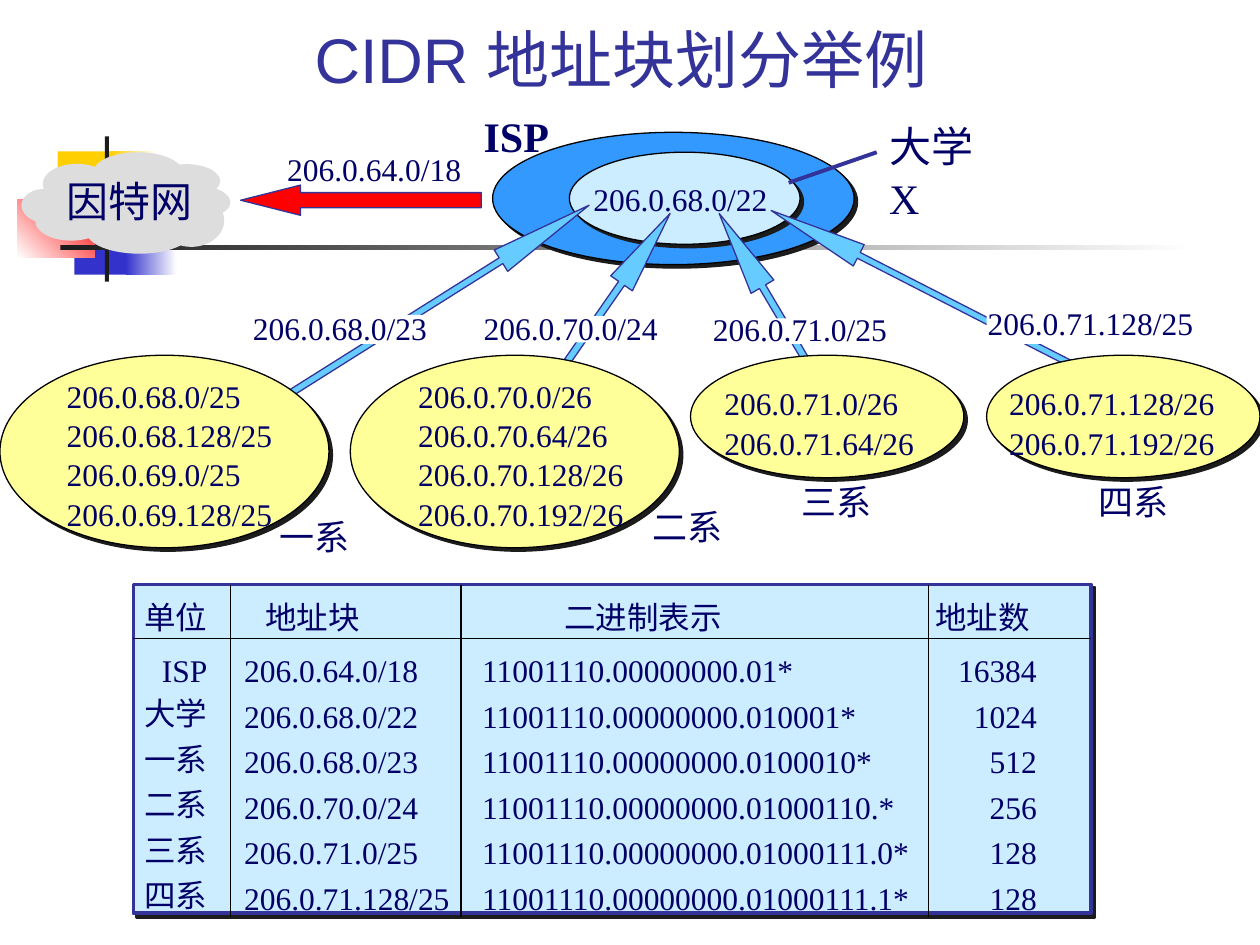
from dataclasses import dataclass

import lxml.etree
import pptx
import pptx.dml.color
import pptx.enum.shapes
import pptx.enum.text
import pptx.oxml
import pptx.oxml.ns
import pptx.util

Pt = pptx.util.Pt
Kind = pptx.enum.shapes.MSO_SHAPE
Align = pptx.enum.text.PP_ALIGN
Anchor = pptx.enum.text.MSO_ANCHOR
qn = pptx.oxml.ns.qn

NAVY, BLUE, BLACK, WHITE = "000066", "333399", "000000", "FFFFFF"
PALE, CREAM, SKY, GREY, DARK = "CCECFF", "FFFF99", "66CCFF", "DDDDDD", "1C1C1C"
SERIF = "Times New Roman"
NO_STYLE = "{2D5ABB26-0587-4C30-8999-92F81FD0307C}"


@dataclass
class Box:
    x: float
    y: float
    w: float
    h: float

    def span(self) -> list:
        return [Pt(v) for v in (self.x, self.y, self.w, self.h)]


@dataclass
class Look:
    fill: str
    fade: str = ""
    angle: float = 0
    line: str = ""
    width: float = 0.75
    shadow: bool = False


@dataclass
class Label:
    text: str
    box: Box
    size: float = 18
    bold: bool = False
    wrap: bool = False


@dataclass
class Arrow:
    box: Box
    turn: float
    neck: float
    head: float
    fill: str = SKY


@dataclass
class Column:
    width: float
    align: Align
    left: float
    right: float
    indent: float
    cells: list


def tint(code: str) -> pptx.dml.color.RGBColor:
    return pptx.dml.color.RGBColor.from_string(code)


def style(font, size: float, code: str = NAVY, name: str = SERIF, bold: bool = False) -> None:
    font.size, font.name, font.bold = Pt(size), name, bold
    font.color.rgb = tint(code)


def draw(shapes, kind: Kind, box: Box, look: Look):
    shape = shapes.add_shape(kind, *box.span())
    shape.shadow.inherit = False
    if look.fade:
        shape.fill.gradient()
        shape.fill.gradient_angle = look.angle
        for stop, code in zip(shape.fill.gradient_stops, (look.fill, look.fade)):
            stop.color.rgb = tint(code)
    else:
        shape.fill.solid()
        shape.fill.fore_color.rgb = tint(look.fill)
    if look.line:
        shape.line.color.rgb = tint(look.line)
        shape.line.width = Pt(look.width)
    else:
        shape.line.fill.background()
    if look.shadow:
        effects = shape._element.spPr.find(qn("a:effectLst"))
        cast = lxml.etree.SubElement(effects, qn("a:outerShdw"), blurRad="0",
                                     dist=str(Pt(2.8)), dir="2700000", algn="ctr")
        lxml.etree.SubElement(cast, qn("a:srgbClr"), val=DARK)
    return shape


def point(shapes, arrow: Arrow) -> None:
    shape = draw(shapes, Kind.LEFT_ARROW, arrow.box, Look(arrow.fill, line=BLUE))
    shape.rotation = arrow.turn
    shape.adjustments[0], shape.adjustments[1] = arrow.neck, arrow.head


def write(shapes, label: Label) -> None:
    frame = shapes.add_textbox(*label.box.span()).text_frame
    frame.word_wrap = label.wrap
    frame.text = label.text
    for para in frame.paragraphs:
        para.line_spacing = 1.04
        for run in para.runs:
            style(run.font, label.size, bold=label.bold)


def edge(cell, side: str) -> None:
    line = pptx.oxml.parse_xml(
        f'<a:{side} xmlns:a="http://schemas.openxmlformats.org/drawingml/2006/main" w="{Pt(0.75)}">'
        f'<a:solidFill><a:srgbClr val="{BLACK}"/></a:solidFill></a:{side}>')
    cell._tc.get_or_add_tcPr().insert(0, line)


def tabulate(shapes, x: float, y: float, rows: list, cols: list) -> None:
    box = Box(x, y, sum(c.width for c in cols), sum(rows))
    table = shapes.add_table(len(rows), len(cols), *box.span()).table
    table.first_row = table.horz_banding = False
    table._tbl.tblPr.find(qn("a:tableStyleId")).text = NO_STYLE
    for row, high in zip(table.rows, rows):
        row.height = Pt(high)
    for j, col in enumerate(cols):
        table.columns[j].width = Pt(col.width)
        for i, text in enumerate(col.cells):
            cell = table.cell(i, j)
            cell.fill.background()
            cell.vertical_anchor = Anchor.BOTTOM
            cell.margin_top = cell.margin_bottom = 0
            cell.margin_left = Pt(col.left if i else col.indent)
            cell.margin_right = Pt(col.right if i else min(col.right, 13))
            cell.text = text
            para = cell.text_frame.paragraphs[0]
            para.alignment = col.align if i or j == 0 else Align.LEFT
            para.line_spacing = Pt(20)
            style(para.runs[0].font, 18)
            if i == 0:
                edge(cell, "lnB")
            if j < len(cols) - 1:
                edge(cell, "lnR")


DECOR = [
    (Box(33, 86.5, 34.5, 37.5), Look("FFCF01")),
    (Box(63.5, 86.5, 26, 37.5), Look("FFCF01", WHITE)),
    (Box(42.5, 119.5, 33, 37.5), Look("3333CC")),
    (Box(72, 119.5, 29, 37.5), Look("3333CC", WHITE)),
    (Box(10, 114, 44, 33), Look(WHITE, "FF0000", 45)),
    (Box(60, 78, 2.2, 83), Look(DARK)),
    (Box(34.5, 140.2, 648, 2.4), Look(DARK, WHITE)),
]
PUFFS = [(53.3, 87, 51, 23), (24.5, 93.6, 39, 23), (12.2, 108, 26, 18.7),
         (20.2, 116.6, 39.6, 20.2), (49, 119.8, 59.8, 24.5), (87.8, 93.8, 37.4, 18),
         (93.6, 106, 37.4, 18), (90, 110.2, 37.4, 30.2), (33.8, 101, 77, 30.2)]
ARROWS = [
    Arrow(Box(429.8, 158.4, 197.3, 13.7), 27.1, 0.27, 4.11),
    Arrow(Box(141.8, 166.3, 211, 14.4), 147.8, 0.27, 4.13),
    Arrow(Box(250.6, 183.6, 168.5, 15.1), 124.8, 0.27, 3.22),
    Arrow(Box(369.4, 187.2, 169.2, 15.1), 59.4, 0.27, 3.22),
]
OVALS = [Box(0, 203, 188, 110), Box(200.2, 203, 188, 110),
         Box(394.6, 203, 156.2, 70), Box(563.8, 203, 156.2, 70)]
MASKS = [Box(144, 180, 106, 16.5), Box(275.8, 180.7, 106.5, 15),
         Box(406.8, 182, 106, 14.5), Box(563.8, 180, 124.5, 16.5)]
LABELS = [
    Label("因特网", Box(31, 95.8, 86.4, 36), 24),
    Label("206.0.68.0/22", Box(332, 98.6, 114, 29)),
    Label("206.0.64.0/18", Box(157, 81.4, 114, 29)),
    Label("ISP", Box(269.3, 58.3, 52, 36), 24, bold=True),
    Label("大学 X", Box(501, 64, 80, 36), 24, wrap=True),
    Label("一系", Box(152.6, 290.2, 54.7, 31), 20),
    Label("二系", Box(365.8, 284.4, 54.7, 31), 20),
    Label("三系", Box(450.7, 270, 54.7, 31), 20),
    Label("四系", Box(620.6, 270, 54.7, 31), 20),
    Label("206.0.68.0/23", Box(137.5, 172, 114, 29)),
    Label("206.0.70.0/24", Box(269.3, 172, 114, 29)),
    Label("206.0.71.0/25", Box(400.3, 173, 114, 29)),
    Label("206.0.71.128/25", Box(557.3, 169.2, 132, 29)),
    Label("206.0.68.0/25\n206.0.68.128/25\n206.0.69.0/25\n206.0.69.128/25", Box(31, 211, 132, 93.6)),
    Label("206.0.70.0/26\n206.0.70.64/26\n206.0.70.128/26\n206.0.70.192/26", Box(231.8, 211, 132, 93.6)),
    Label("206.0.71.0/26\n206.0.71.64/26", Box(406.8, 215.3, 123, 50)),
    Label("206.0.71.128/26\n206.0.71.192/26", Box(569.5, 215.3, 132, 50)),
]
COLUMNS = [
    Column(55.5, Align.RIGHT, 0, 13, 0, ["单位", "ISP", "大学", "一系", "二系", "三系", "四系"]),
    Column(132, Align.LEFT, 8, 0, 20,
           ["地址块", "206.0.64.0/18", "206.0.68.0/22", "206.0.68.0/23",
            "206.0.70.0/24", "206.0.71.0/25", "206.0.71.128/25"]),
    Column(267, Align.LEFT, 12, 0, 59,
           ["二进制表示"] + ["11001110.00000000.01" + tail for tail in
                        ("*", "0001*", "00010*", "000110.*", "000111.0*", "000111.1*")]),
    Column(93, Align.RIGHT, 0, 31, 4, ["地址数", "16384", "1024", "512", "256", "128", "128"]),
]


def main() -> None:
    deck = pptx.Presentation()
    deck.slide_width, deck.slide_height = Pt(720), Pt(540)
    slide = deck.slides.add_slide(deck.slide_layouts[5])
    shapes = slide.shapes

    title = shapes.title
    title.left, title.top, title.width, title.height = Box(48, 3.6, 613.5, 54.7).span()
    frame = title.text_frame
    frame.text = "CIDR 地址块划分举例"
    frame.auto_size = pptx.enum.text.MSO_AUTO_SIZE.NONE
    frame.vertical_anchor = Anchor.BOTTOM
    frame.paragraphs[0].alignment = Align.CENTER
    style(frame.paragraphs[0].runs[0].font, 36, BLUE, "Arial")

    for box, look in DECOR:
        draw(shapes, Kind.RECTANGLE, box, look)
    draw(shapes, Kind.RECTANGLE, Box(76.3, 334, 547.2, 188),
         Look(PALE, line=BLUE, width=2.25, shadow=True))
    cloud = shapes.add_group_shape().shapes
    for shift in (0.7, 0):
        for x, y, w, h in PUFFS:
            draw(cloud, Kind.OVAL, Box(x + shift, y + shift, w, h), Look(GREY))

    draw(shapes, Kind.OVAL, Box(281.5, 75.6, 206.6, 75.6), Look("3399FF", line=BLACK, shadow=True))
    draw(shapes, Kind.OVAL, Box(325.4, 87, 131.8, 52.6), Look(PALE, line=BLACK, shadow=True))
    point(shapes, Arrow(Box(137.5, 105.8, 137.5, 17.3), 0, 0.5, 1.98, "FF0000"))
    link = shapes.add_connector(pptx.enum.shapes.MSO_CONNECTOR.STRAIGHT,
                                Pt(450.7), Pt(104.4), Pt(501), Pt(87))
    link.line.color.rgb = tint(BLUE)
    link.line.width = Pt(2.25)
    lxml.etree.SubElement(link._element.spPr, qn("a:effectLst"))

    for arrow in ARROWS:
        point(shapes, arrow)
    for box in OVALS:
        draw(shapes, Kind.OVAL, box, Look(CREAM, line=BLACK, shadow=True))
    for box in MASKS:
        draw(shapes, Kind.RECTANGLE, box, Look(WHITE))
    for label in LABELS:
        write(shapes, label)
    tabulate(shapes, 76, 334, [31, 29] + [26] * 5, COLUMNS)
    deck.save("out.pptx")


if __name__ == "__main__":
    main()
